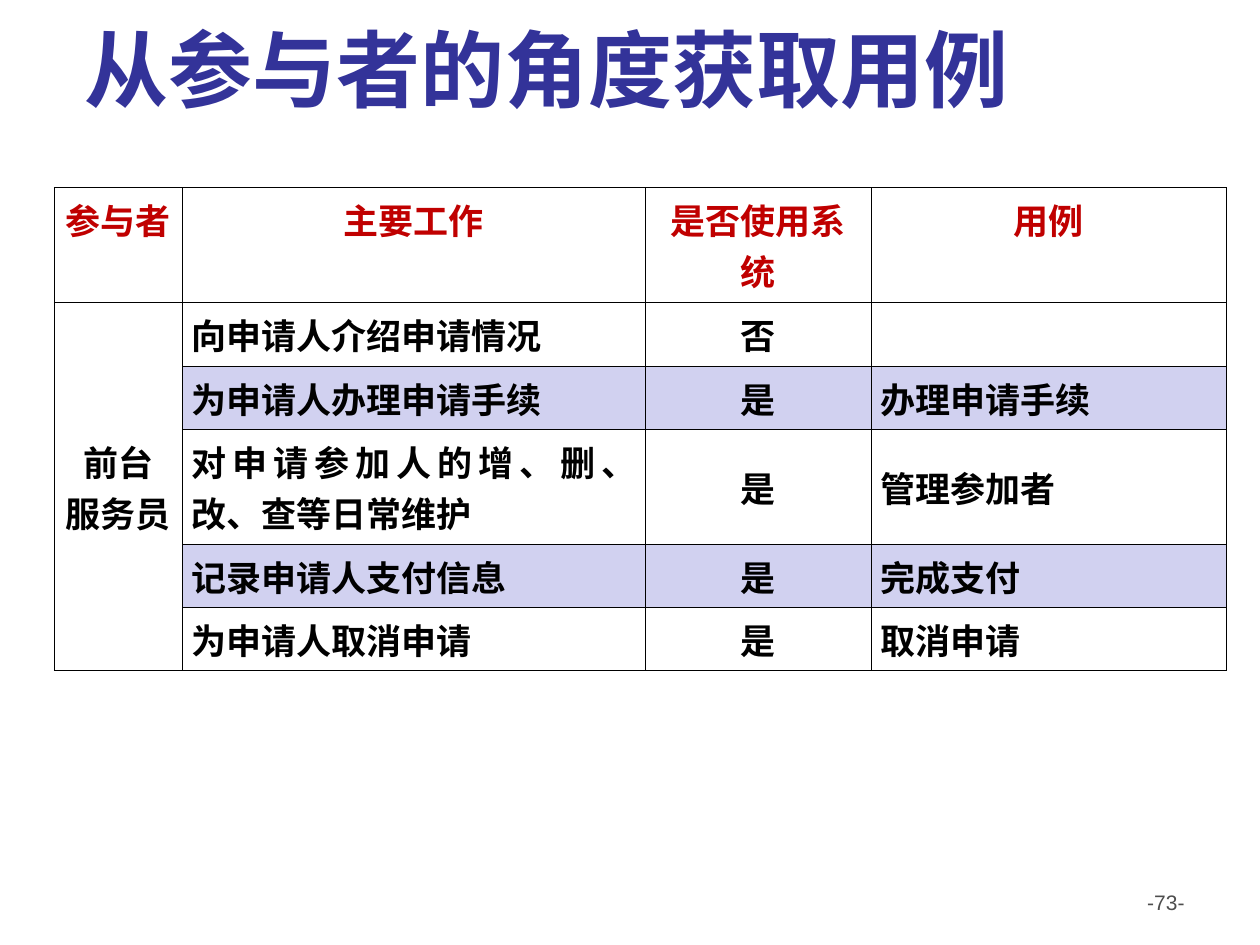
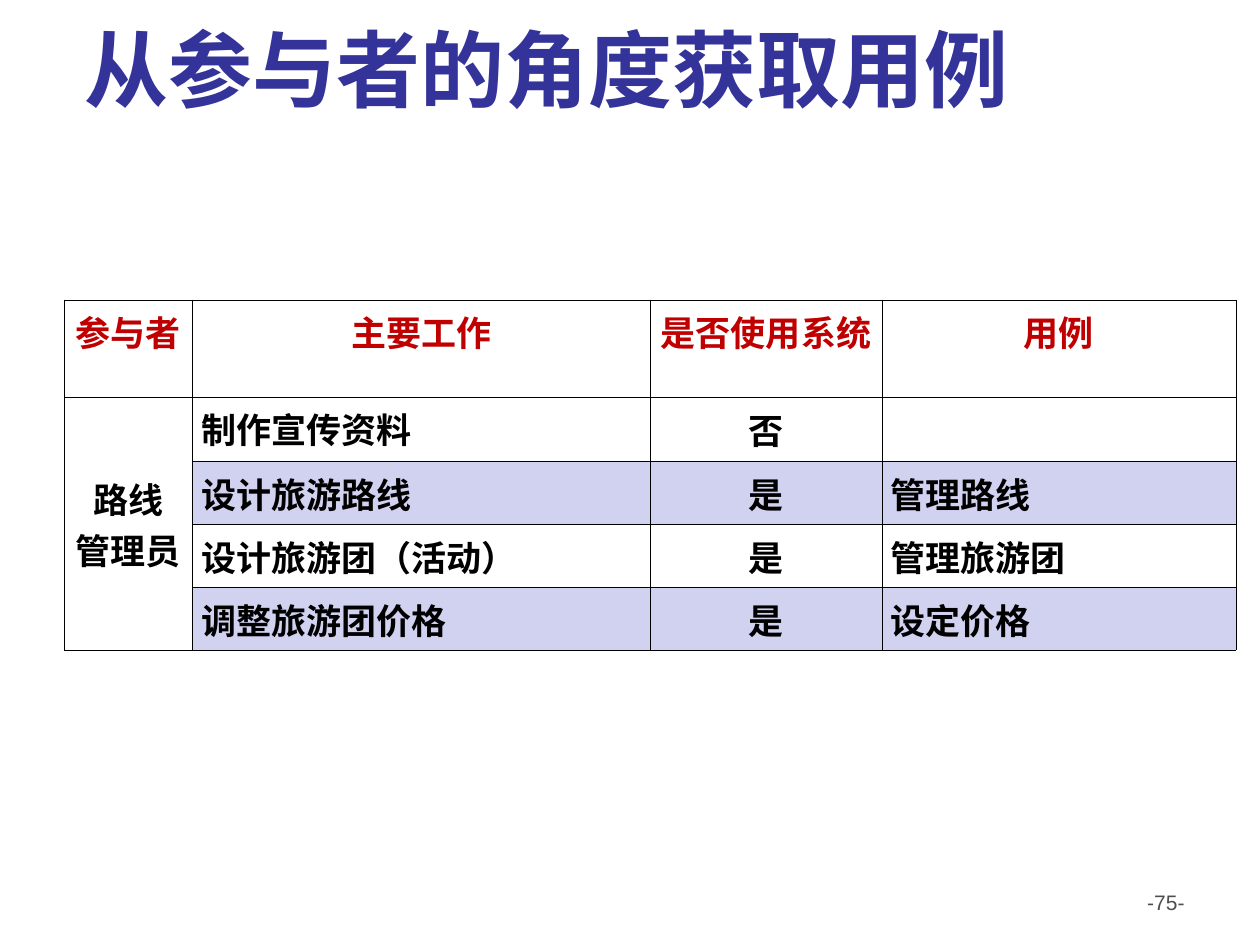
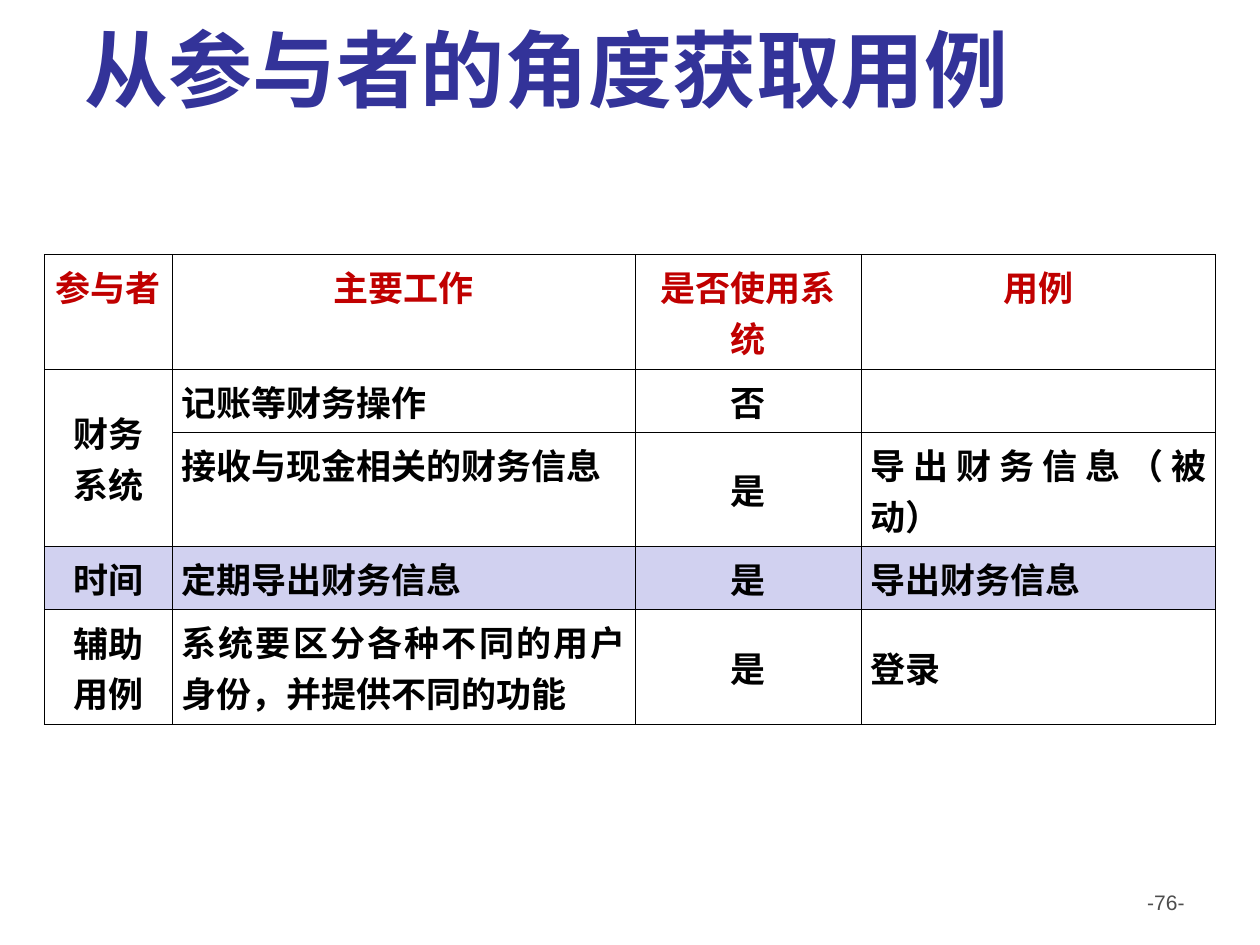
from dataclasses import dataclass

from lxml.etree import SubElement
from pptx import Presentation
from pptx.dml.color import RGBColor
from pptx.enum.text import MSO_ANCHOR, PP_ALIGN
from pptx.oxml.ns import qn
from pptx.util import Inches, Pt


@dataclass(frozen=True)
class Theme:
    title_color: str = "333399"
    header_color: str = "C00000"
    body_color: str = "000000"
    footer_color: str = "4D4D4D"
    band_color: str = "D1D1F0"
    border_color: str = "000000"
    border_width: float = 0.45
    title_size: int = 48
    table_size: int = 20
    footer_size: int = 12
    title_font: str = "Cabin"
    table_font: str = "Times New Roman"
    footer_font: str = "Arial"


def write_text(text_frame, text, *, size, font, color, bold=False,
               align=PP_ALIGN.LEFT):
    paragraph = text_frame.paragraphs[0]
    paragraph.text = text
    paragraph.alignment = align
    paragraph._p.get_or_add_pPr().set("hangingPunct", "0")
    for run in paragraph.runs:
        run.font.size = Pt(size)
        run.font.name = font
        run.font.bold = bold
        run.font.color.rgb = RGBColor.from_string(color)


class Deck:
    def __init__(self, theme):
        self.theme = theme
        self.presentation = Presentation()
        self.presentation.slide_width = Inches(10)
        self.presentation.slide_height = Inches(7.5)
        self.slide = None

    def add_slide(self, title, number):
        theme = self.theme
        layout = self.presentation.slide_layouts[6]
        self.slide = self.presentation.slides.add_slide(layout)
        self.add_text(title, (0.57, 0.28, 8.68, 0.71), anchor=MSO_ANCHOR.BOTTOM,
                      size=theme.title_size, font=theme.title_font,
                      color=theme.title_color, bold=True)
        self.add_text(f"-{number}-", (7.17, 7.01, 2.33, 0.52),
                      size=theme.footer_size, font=theme.footer_font,
                      color=theme.footer_color, align=PP_ALIGN.RIGHT)

    def add_text(self, text, box, anchor=MSO_ANCHOR.TOP, **text_format):
        shape = self.slide.shapes.add_textbox(*map(Inches, box))
        text_frame = shape.text_frame
        text_frame.word_wrap = True
        text_frame.vertical_anchor = anchor
        text_frame.margin_left = text_frame.margin_right = Inches(0.1)
        text_frame.margin_top = text_frame.margin_bottom = Inches(0.05)
        write_text(text_frame, text, **text_format)

    def add_table(self, left, top, widths, heights, rows, banded_rows):
        frame = self.slide.shapes.add_table(
            len(rows), len(widths), Inches(left), Inches(top),
            Inches(sum(widths)), Inches(sum(heights)))
        table = frame.table
        table.first_row = table.horz_banding = False
        for column, width in zip(table.columns, widths):
            column.width = Inches(width)
        for row, height in zip(table.rows, heights):
            row.height = Inches(height)
        for row_index, values in enumerate(rows):
            for column_index, text in enumerate(values):
                cell = table.cell(row_index, column_index)
                banded = row_index in banded_rows and text is not None
                self.style_cell(cell, banded)
                if text:
                    self.fill_cell(cell, text, row_index, column_index)
        self.merge_actors(table, rows)

    def style_cell(self, cell, banded):
        properties = cell._tc.get_or_add_tcPr()
        for side in ("lnL", "lnR", "lnT", "lnB"):
            line = SubElement(properties, qn(f"a:{side}"),
                              w=str(Pt(self.theme.border_width)))
            solid = SubElement(line, qn("a:solidFill"))
            SubElement(solid, qn("a:srgbClr"), val=self.theme.border_color)
        if banded:
            cell.fill.solid()
            cell.fill.fore_color.rgb = RGBColor.from_string(self.theme.band_color)
        else:
            cell.fill.background()
        cell.margin_left = cell.margin_right = Inches(0.07)
        cell.margin_top = cell.margin_bottom = Inches(0.05)

    def fill_cell(self, cell, text, row_index, column_index):
        theme = self.theme
        is_header = row_index == 0
        is_centered = is_header or column_index in (0, 2)
        at_top = is_header or column_index == 1
        cell.vertical_anchor = MSO_ANCHOR.TOP if at_top else MSO_ANCHOR.MIDDLE
        write_text(cell.text_frame, text, size=theme.table_size,
                   font=theme.table_font, bold=True,
                   color=theme.header_color if is_header else theme.body_color,
                   align=PP_ALIGN.CENTER if is_centered else PP_ALIGN.JUSTIFY)

    def merge_actors(self, table, rows):
        starts = [index for index, row in enumerate(rows) if row[0] is not None]
        for start, following in zip(starts, starts[1:] + [len(rows)]):
            if following - start > 1:
                table.cell(start, 0).merge(table.cell(following - 1, 0))

    def save(self):
        self.presentation.save("out.pptx")


TITLE = "从参与者的角度获取用例"
HEADER = ("参与者", "主要工作", "是否使用系统", "用例")
WIDTHS = (1.02, 3.67, 1.8, 2.81)

RECEPTION_ROWS = [
    HEADER,
    ("前台\n服务员", "向申请人介绍申请情况", "否", ""),
    (None, "为申请人办理申请手续", "是", "办理申请手续"),
    (None, "对申请参加人的增、删、改、查等日常维护", "是", "管理参加者"),
    (None, "记录申请人支付信息", "是", "完成支付"),
    (None, "为申请人取消申请", "是", "取消申请"),
]
ROUTE_ROWS = [
    HEADER,
    ("路线\n管理员", "制作宣传资料", "否", ""),
    (None, "设计旅游路线", "是", "管理路线"),
    (None, "设计旅游团（活动）", "是", "管理旅游团"),
    (None, "调整旅游团价格", "是", "设定价格"),
]
FINANCE_ROWS = [
    HEADER,
    ("财务\n系统", "记账等财务操作", "否", ""),
    (None, "接收与现金相关的财务信息", "是", "导出财务信息（被动）"),
    ("时间", "定期导出财务信息", "是", "导出财务信息"),
    ("辅助\n用例", "系统要区分各种不同的用户身份，并提供不同的功能", "是", "登录"),
]


def main():
    deck = Deck(Theme())

    deck.add_slide(TITLE, 73)
    deck.add_table(0.43, 1.49, WIDTHS, (0.91, 0.51, 0.5, 0.91, 0.5, 0.5),
                   RECEPTION_ROWS, banded_rows=(2, 4))

    deck.add_slide(TITLE, 75)
    deck.add_table(0.51, 2.38, (1.02, 3.63, 1.84, 2.81),
                   (0.77, 0.51, 0.5, 0.5, 0.5),
                   ROUTE_ROWS, banded_rows=(2, 4))

    deck.add_slide(TITLE, 76)
    deck.add_table(0.35, 2.02, WIDTHS, (0.91, 0.5, 0.91, 0.5, 0.91),
                   FINANCE_ROWS, banded_rows=(3,))

    deck.save()


if __name__ == "__main__":
    main()
